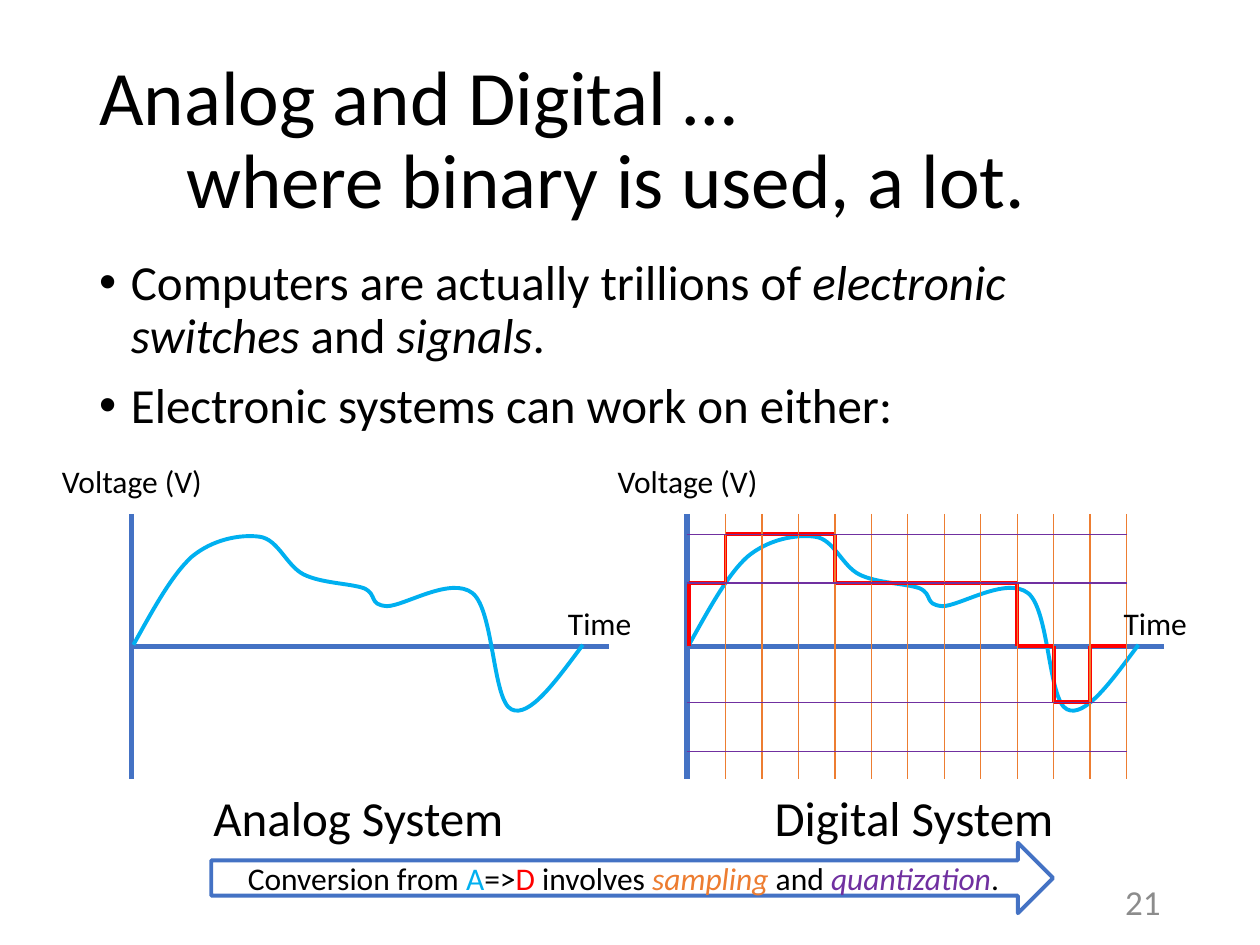
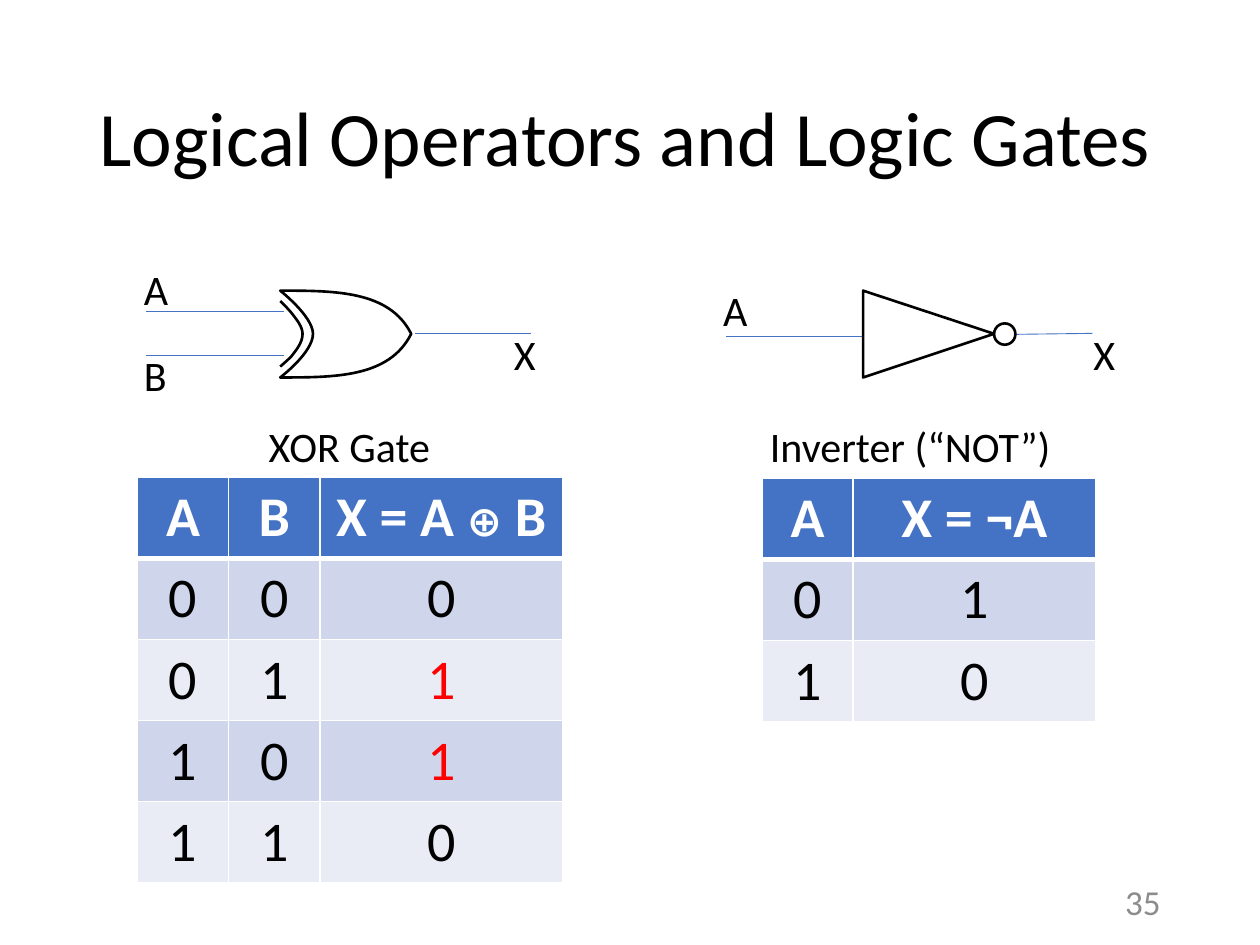
from itertools import pairwise

from lxml.etree import SubElement
from pptx import Presentation
from pptx.dml.color import RGBColor
from pptx.enum.shapes import MSO_CONNECTOR, MSO_SHAPE
from pptx.enum.text import MSO_ANCHOR, MSO_AUTO_SIZE, PP_ALIGN
from pptx.oxml.ns import qn
from pptx.util import Cm, Pt

FONT = "Calibri"
BLACK, WHITE, GREY = "000000", "FFFFFF", "8C8C8C"
BLUE, SKY, RED = "4472C4", "00B0F0", "FF0000"
ORANGE, PURPLE = "ED7D31", "7030A0"
BAND_DARK, BAND_LIGHT = "CFD5EA", "E9EBF5"
LEFT, CENTER, RIGHT = PP_ALIGN.LEFT, PP_ALIGN.CENTER, PP_ALIGN.RIGHT


def paint(fill, colour):
    fill.solid()
    fill.fore_color.rgb = RGBColor.from_string(colour)


def draw(slide, points, colour, width, close=False, curved=False):
    """Draw a connector through two points, or an unfilled outline through more.

    A curved outline takes a start point and three Bezier points per piece.
    """
    points = [(Cm(x), Cm(y)) for x, y in points]
    if len(points) == 2:
        shape = slide.shapes.add_connector(MSO_CONNECTOR.STRAIGHT, *points[0], *points[1])
    else:
        corners = points[::3] if curved else points
        builder = slide.shapes.build_freeform(*corners[0], scale=1.0)
        builder.add_line_segments(corners[1:], close=close)
        shape = builder.convert_to_shape()
        shape.fill.background()
    if curved:
        for index, piece in enumerate(list(shape._element.iter(qn("a:lnTo")))):
            piece.clear()
            piece.tag = qn("a:cubicBezTo")
            for x, y in points[3 * index + 1:3 * index + 4]:
                SubElement(piece, qn("a:pt"), x=str(x - shape.left), y=str(y - shape.top))
    paint(shape.line.fill, colour)
    shape.line.width = Pt(width)
    SubElement(shape._element.spPr, qn("a:effectLst"))


presentation = Presentation()
presentation.slide_width, presentation.slide_height = Cm(25.4), Cm(19.05)
LINE_BREAK = "\v"
runs = []  # paragraph, text, colour, font format
boxes = []  # slide, text, left, top, width, height, alignment, size

# Titles and slide numbers
slides = []
for title_pieces, number in (
    (("Analog and Digital …", LINE_BREAK, "where binary is used, a lot."), "21"),
    (("Logical Operators and Logic Gates",), "35"),
):
    slide = presentation.slides.add_slide(presentation.slide_layouts[5])
    slides.append(slide)
    title = slide.shapes.title
    title.left, title.top, title.width, title.height = Cm(1.75), Cm(1.02), Cm(21.9), Cm(3.68)
    title.text_frame.auto_size = MSO_AUTO_SIZE.NONE
    title.text_frame.vertical_anchor = MSO_ANCHOR.MIDDLE
    paragraph = title.text_frame.paragraphs[0]
    paragraph.alignment = LEFT
    paragraph.line_spacing = 0.9
    paragraph.space_before = Pt(0)
    if LINE_BREAK in title_pieces:
        properties = paragraph._p.get_or_add_pPr()
        properties.set("marL", str(Cm(1.75)))
        properties.set("indent", str(-Cm(1.75)))
    for text in title_pieces:
        runs.append((paragraph, text, BLACK, {"size": Pt(44)}))
    boxes.append((slide, number, 21.95, 17.66, 1.7, 1.02, RIGHT, 20))

# Slide 1: analog and digital signals
signals, gates = slides
body = signals.shapes.add_textbox(Cm(1.75), Cm(5.08), Cm(21.9), Cm(12.09)).text_frame
body.word_wrap = True
bullets = (
    (("Computers are actually trillions of ", False), ("electronic switches", True),
     (" and ", False), ("signals", True), (".", False)),
    (("Electronic systems can work on either:", False),),
)
for index, pieces in enumerate(bullets):
    paragraph = body.add_paragraph() if index else body.paragraphs[0]
    properties = paragraph._p.get_or_add_pPr()
    properties.set("marL", str(Cm(0.64)))
    properties.set("indent", str(-Cm(0.64)))
    SubElement(properties, qn("a:buFont")).set("typeface", "Arial")
    SubElement(properties, qn("a:buChar")).set("char", "•")
    paragraph.line_spacing = 0.9
    paragraph.space_before = Pt(10 * index)
    for text, italic in pieces:
        runs.append((paragraph, text, BLACK, {"size": Pt(28), "italic": italic}))

wave = [
    (2.69, 13), (3.07, 12.32), (3.45, 11.61), (3.86, 11.23),
    (4.29, 10.87), (4.85, 10.77), (5.23, 10.82),
    (5.61, 10.87), (5.77, 11.4), (6.12, 11.58),
    (6.48, 11.76), (7.06, 11.76), (7.34, 11.86),
    (7.62, 11.99), (7.42, 12.19), (7.8, 12.22),
    (8.15, 12.22), (9.09, 11.61), (9.53, 11.96),
    (9.96, 12.32), (9.93, 14.12), (10.31, 14.3),
    (10.67, 14.48), (11.2, 13.74), (11.75, 13),
]
PLOT_TOP, PLOT_BOTTOM, ZERO = 10.36, 15.7, 13.03
for offset, system in ((0, "Analog System"), (11.2, "Digital System")):
    axis_left = 2.65 + offset
    draw(signals, [(axis_left, PLOT_TOP), (axis_left, PLOT_BOTTOM)], BLUE, 3)
    draw(signals, [(axis_left, ZERO), (axis_left + 9.62, ZERO)], BLUE, 3)
    draw(signals, [(x + offset, y) for x, y in wave], SKY, 2.25, curved=True)
    boxes += [
        (signals, "Voltage (V)", 1 + offset, 9.19, 3.38, 1.02, LEFT, 18),
        (signals, "Time", 11.2 + offset, 12.05, 1.8, 1.02, LEFT, 18),
        (signals, system, 4.01 + offset, 15.75, 6.43, 1.45, CENTER, 28),
    ]

HIGH, MIDDLE, LOW, LOWEST = 10.77, 11.75, 14.16, 15.15
SAMPLE_LEFT, SAMPLE_RIGHT = 13.89, 22.71
levels = [ZERO, MIDDLE] + [HIGH] * 3 + [MIDDLE] * 5 + [ZERO, LOW, ZERO]
sample_width = (SAMPLE_RIGHT - SAMPLE_LEFT) / (len(levels) - 1)
sample_edges = [SAMPLE_LEFT + sample_width * index for index in range(len(levels))]
for (before, level), (start, end) in zip(pairwise(levels), pairwise(sample_edges)):
    if before != level:
        draw(signals, [(start, before), (start, level)], RED, 2.25)
    draw(signals, [(start, level), (end, level)], RED, 2.25)
for x in sample_edges[1:]:
    draw(signals, [(x, PLOT_TOP), (x, PLOT_BOTTOM)], ORANGE, 0.75)
for y in (HIGH, MIDDLE, LOW, LOWEST):
    draw(signals, [(13.84, y), (SAMPLE_RIGHT, y)], PURPLE, 0.75)

arrow = signals.shapes.add_shape(
    MSO_SHAPE.RIGHT_ARROW, Cm(4.26), Cm(16.99), Cm(16.97), Cm(1.42))
arrow.shadow.inherit = False
paint(arrow.fill, WHITE)
paint(arrow.line.fill, BLUE)
arrow.line.width = Pt(2.25)
arrow.text_frame.vertical_anchor = MSO_ANCHOR.MIDDLE
paragraph = arrow.text_frame.paragraphs[0]
paragraph.alignment = CENTER
for text, colour in (
    ("Conversion from ", BLACK), ("A", SKY), ("=>", BLACK), ("D", RED),
    (" involves ", BLACK), ("sampling ", ORANGE), ("and ", BLACK),
    ("quantization", PURPLE), (".", BLACK),
):
    italic = colour in (ORANGE, PURPLE)
    runs.append((paragraph, text, colour, {"size": Pt(18), "italic": italic}))

# Slide 2: gates and truth tables
for wire in (
    [(5.72, 6.27), (2.95, 6.27)],
    [(5.72, 7.16), (2.95, 7.16)],
    [(8.36, 6.73), (10.71, 6.73)],
    [(17.42, 6.78), (14.63, 6.78)],
    [(20.47, 6.74), (22.02, 6.72)],
):
    draw(gates, wire, BLUE, 0.5)
xor_body = [
    (5.65, 5.86), (6.76, 5.86), (7.85, 5.86), (8.29, 6.73),
    (7.85, 7.61), (6.76, 7.61), (5.65, 7.61),
    (5.65, 7.61), (6.31, 7.11), (6.31, 6.73),
    (6.31, 6.38), (5.65, 5.86), (5.65, 5.86),
]
xor_back = [
    (5.65, 6.07), (5.65, 6.07), (5.74, 6.15), (5.87, 6.3),
    (5.97, 6.43), (6.1, 6.58), (6.1, 6.73),
    (6.1, 6.91), (5.97, 7.06), (5.87, 7.19),
    (5.77, 7.29), (5.65, 7.39), (5.65, 7.39),
]
inverter = [(17.4, 5.86), (17.4, 7.61), (20.04, 6.73)]
draw(gates, xor_body, BLACK, 1.5, close=True, curved=True)
draw(gates, xor_back, BLACK, 1.5, curved=True)
draw(gates, inverter, BLACK, 1.5, close=True)
bubble = gates.shapes.add_shape(MSO_SHAPE.OVAL, Cm(20.04), Cm(6.52), Cm(0.43), Cm(0.43))
bubble.shadow.inherit = False
bubble.fill.background()
paint(bubble.line.fill, BLACK)
bubble.line.width = Pt(1.5)

for text, left, top, width, alignment in (
    ("A", 2.65, 5.18, 1.02, LEFT),
    ("B", 2.65, 6.91, 0.97, LEFT),
    ("X", 10.11, 6.5, 0.97, LEFT),
    ("XOR Gate", 5.14, 8.36, 3.81, CENTER),
    ("A", 14.33, 5.61, 1.02, LEFT),
    ("X", 21.79, 6.5, 0.97, LEFT),
    ("Inverter (“NOT”)", 15.24, 8.36, 6.22, CENTER),
):
    boxes.append((gates, text, left, top, width, 1.27, alignment, 24))

xor_rows = [["A", "B", "X = A ⊕ B"], "000", "011", "101", "110"]
not_rows = [["A", "X = ¬A"], "01", "10"]
for rows, left, top, column_widths, row_height in (
    (xor_rows, 2.77, 9.62, (1.84, 1.84, 4.89), 1.63),
    (not_rows, 15.36, 9.64, (1.84, 4.89), 1.6),
):
    table = gates.shapes.add_table(
        len(rows), len(column_widths), Cm(left), Cm(top),
        Cm(sum(column_widths)), Cm(row_height * len(rows))).table
    for column, width in zip(table.columns, column_widths):
        column.width = Cm(width)
    for row_index, values in enumerate(rows):
        table.rows[row_index].height = Cm(row_height)
        header = row_index == 0
        band = BLUE if header else BAND_DARK if row_index % 2 else BAND_LIGHT
        for column_index, value in enumerate(values):
            cell = table.cell(row_index, column_index)
            for side in "LRTB":
                thick = (row_index, side) in ((0, "B"), (1, "T"))
                border = SubElement(cell._tc.get_or_add_tcPr(), qn(f"a:ln{side}"))
                border.set("w", str(Pt(3 if thick else 1)))
                border_fill = SubElement(border, qn("a:solidFill"))
                SubElement(border_fill, qn("a:srgbClr")).set("val", WHITE)
            paint(cell.fill, band)
            paragraph = cell.text_frame.paragraphs[0]
            paragraph.alignment = CENTER
            xor_true = column_index == 2 and value == "1"
            colour = WHITE if header else RED if xor_true else BLACK
            for piece in filter(None, value.partition("⊕")):
                size = Pt(24 if piece == "⊕" else 32)
                runs.append((paragraph, piece, colour, {"size": size, "bold": header}))

# Text boxes, then the runs of every paragraph
for slide, text, left, top, width, height, alignment, size in boxes:
    box = slide.shapes.add_textbox(Cm(left), Cm(top), Cm(width), Cm(height))
    box.text_frame.word_wrap = False
    box.text_frame.vertical_anchor = MSO_ANCHOR.MIDDLE
    paragraph = box.text_frame.paragraphs[0]
    paragraph.alignment = alignment
    runs.append((paragraph, text, GREY if alignment == RIGHT else BLACK, {"size": Pt(size)}))

for paragraph, text, colour, font_format in runs:
    if text == LINE_BREAK:
        paragraph.add_line_break()
        continue
    run = paragraph.add_run()
    run.text = text
    paint(run.font.fill, colour)
    for attribute, value in {"name": FONT, **font_format}.items():
        setattr(run.font, attribute, value)

presentation.save("out.pptx")
